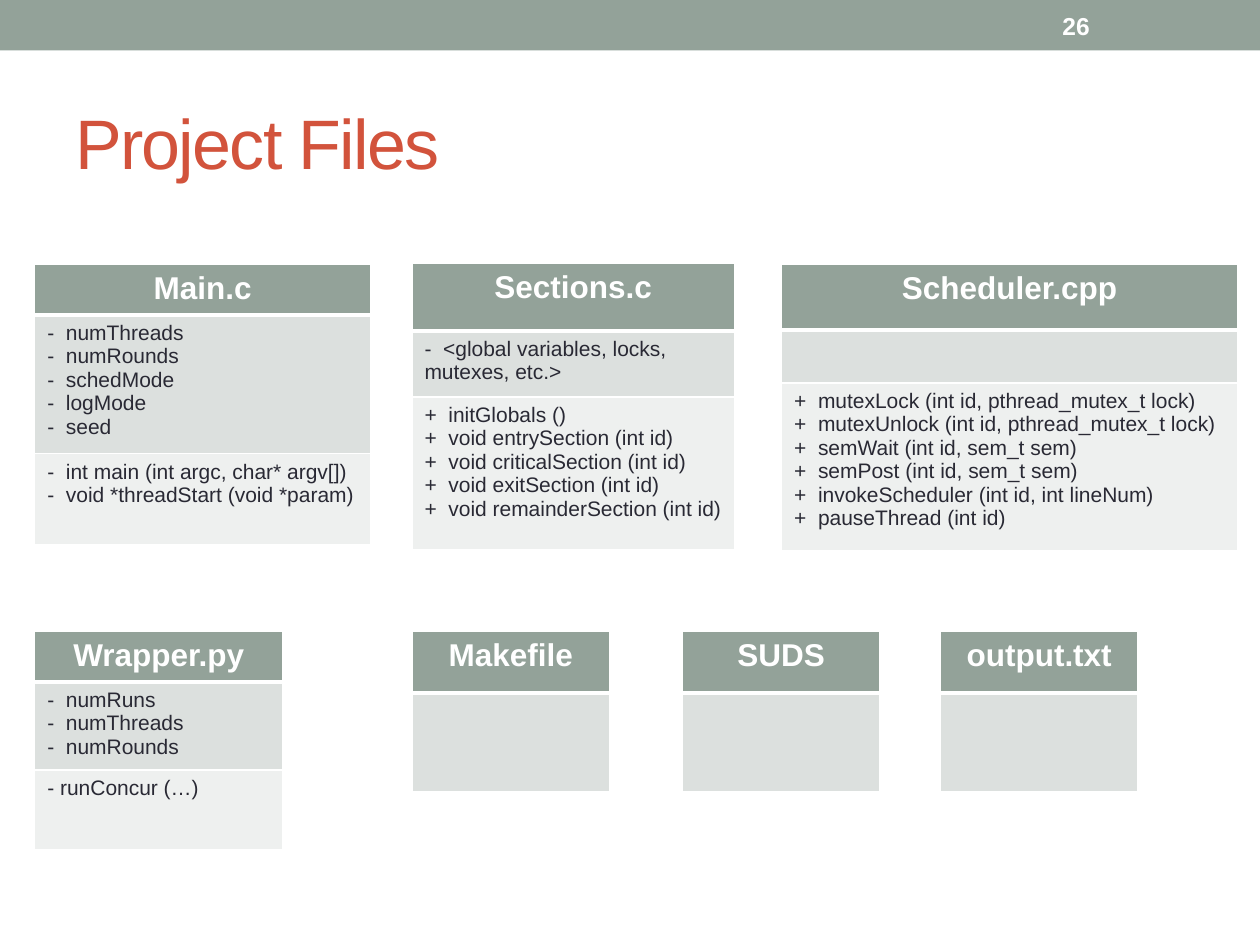
from pptx import Presentation
from pptx import util as u
from pptx.dml.color import RGBColor
from pptx.enum import shapes, text
from pptx.oxml import ns
from lxml import etree

SAGE = RGBColor(0x93, 0xA2, 0x99)
RUST = RGBColor(0xD2, 0x53, 0x3C)
INK = RGBColor(0x29, 0x29, 0x34)
WHITE = RGBColor(0xFF, 0xFF, 0xFF)
FIELD_FILL = RGBColor(0xDC, 0xE0, 0xDE)
METHOD_FILL = RGBColor(0xEE, 0xF0, 0xEF)
FONT = "Arial"


def write(para, words, size=12, color=INK, bold=False, align=None, spacing=None):
    """Put formatted words into a paragraph; size and spacing are in points."""
    para.alignment = align
    para.font.size = u.Pt(size)
    if not words:
        return
    span = para.add_run()
    span.text = words
    font = span.font
    font.name, font.size, font.bold = FONT, u.Pt(size), bold
    font.color.rgb = color
    if spacing is not None:
        span._r.get_or_add_rPr().set("spc", str(int(spacing * 100)))


def add_border(cell, side, width):
    """Add a white line to one side of a cell."""
    line = etree.SubElement(cell._tc.get_or_add_tcPr(), ns.qn("a:" + side),
                            w=str(u.Pt(width)))
    fill = etree.SubElement(line, ns.qn("a:solidFill"))
    etree.SubElement(fill, ns.qn("a:srgbClr"), val=str(WHITE))


class Slide:
    """Holds the current page and the style of its elements."""

    def __init__(self, page):
        self.page = page

    def band(self, left, top, width, height):
        box = self.page.shapes.add_shape(
            shapes.MSO_SHAPE.RECTANGLE, u.Pt(left), u.Pt(top), u.Pt(width), u.Pt(height))
        box.shadow.inherit = False
        box.fill.solid()
        box.fill.fore_color.rgb = SAGE
        box.line.fill.background()

    def label(self, words, left, top, width, height, **style):
        box = self.page.shapes.add_textbox(
            u.Pt(left), u.Pt(top), u.Pt(width), u.Pt(height))
        frame = box.text_frame
        frame.word_wrap = True
        frame.vertical_anchor = text.MSO_ANCHOR.MIDDLE
        write(frame.paragraphs[0], words, **style)

    def file_card(self, name, left, top, width, heights, *sections):
        """Draw a one-column table: file name, then its sections of lines."""
        table = self.page.shapes.add_table(
            len(heights), 1, u.Pt(left), u.Pt(top), u.Pt(width), u.Pt(sum(heights))).table
        table.horz_banding = False
        fills = (SAGE, FIELD_FILL, METHOD_FILL)
        for index, (height, lines) in enumerate(zip(heights, ([name], *sections))):
            table.rows[index].height = u.Pt(height)
            cell = table.cell(index, 0)
            header = index == 0
            for side in ("lnL", "lnR", "lnT", "lnB"):
                thick = (header and side == "lnB") or (index == 1 and side == "lnT")
                add_border(cell, side, 3 if thick else 1)
            cell.fill.solid()
            cell.fill.fore_color.rgb = fills[index]
            style = dict(size=18, color=WHITE, bold=True,
                         align=text.PP_ALIGN.CENTER) if header else {}
            frame = cell.text_frame
            for number, line in enumerate(lines or [""]):
                para = frame.add_paragraph() if number else frame.paragraphs[0]
                write(para, line, **style)


def main():
    deck = Presentation()
    deck.slide_width, deck.slide_height = u.Pt(720), u.Pt(540)
    slide = Slide(deck.slides.add_slide(deck.slide_layouts[6]))

    # Top band, title and page number
    slide.band(0, 0, 720, 28.8)
    slide.label("Project Files", 36, 42, 648, 78, size=40, color=RUST, spacing=-1)
    slide.label("26", 600, 1.5, 84, 26, size=14, color=WHITE, bold=True)

    # Source files with variables and functions
    slide.file_card(
        "Main.c", 19.8, 151.2, 192, (27, 74, 52),
        ["-  numThreads", "-  numRounds", "-  schedMode", "-  logMode", "-  seed"],
        ["-  int main (int argc, char* argv[])", "-  void *threadStart (void *param)"])
    slide.file_card(
        "Sections.c", 235.4, 150.6, 184.3, (38.6, 37.6, 87.6),
        ["-  <global variables, locks, mutexes, etc.>"],
        ["+  initGlobals ()", "+  void entrySection (int id)",
         "+  void criticalSection (int id)", "+  void exitSection (int id)",
         "+  void remainderSection (int id)"])
    slide.file_card(
        "Scheduler.cpp", 446.6, 151.2, 260.6, (37.4, 30.2, 95.8),
        [],
        ["+  mutexLock (int id, pthread_mutex_t lock)",
         "+  mutexUnlock (int id, pthread_mutex_t lock)",
         "+  semWait (int id, sem_t sem)", "+  semPost (int id, sem_t sem)",
         "+  invokeScheduler (int id, int lineNum)", "+  pauseThread (int id)"])

    # Wrapper script and supporting files
    lower_top = 360.8
    slide.file_card(
        "Wrapper.py", 19.8, lower_top, 141.8, (27, 47.4, 45.4),
        ["-  numRuns", "-  numThreads", "-  numRounds"], ["- runConcur (…)"])
    for name, left in (("Makefile", 235.4), ("SUDS", 389.9), ("output.txt", 537.4)):
        slide.file_card(name, left, lower_top, 113, (35.3, 56.2), [])

    deck.save("out.pptx")


if __name__ == "__main__":
    main()
